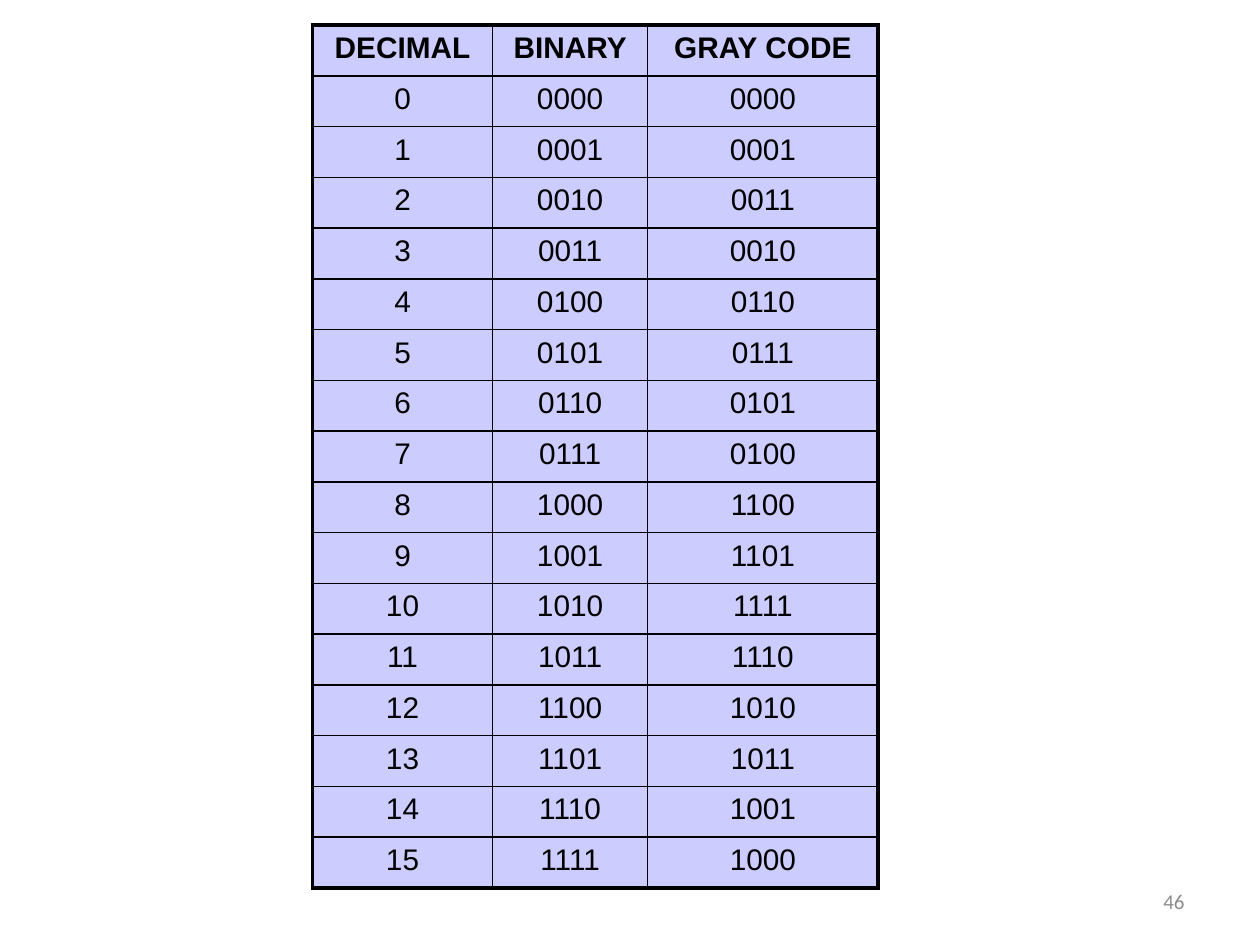
"""Build a slide with a table of decimal, binary and Gray code values."""
from lxml import etree
from pptx import Presentation
from pptx.dml.color import RGBColor
from pptx.enum.text import MSO_ANCHOR, PP_ALIGN
from pptx.oxml.ns import qn
from pptx.util import Inches, Pt

CENTER, RIGHT = PP_ALIGN.CENTER, PP_ALIGN.RIGHT
MIDDLE = MSO_ANCHOR.MIDDLE

HEADERS = ["DECIMAL", "BINARY", "GRAY CODE"]
CODES = [(str(n), f"{n:04b}", f"{n ^ (n >> 1):04b}") for n in range(16)]
ROWS = [HEADERS] + CODES
COL_WIDTHS = [1.43, 1.23, 1.83]
LEFT, TOP, HEIGHT = 2.48, 0.2, 6.85
PAGE_NUMBER = "46"
FILL, BLACK, GRAY = "CCCCFF", "000000", "8C8C8C"
OUTER, INNER = 2.25, 1


def rgb(color):
    return RGBColor.from_string(color)


def style_paragraph(p, align, font, size, color, bold=False):
    p.alignment = align
    for r in p.runs:
        r.font.name = font
        r.font.size = Pt(size)
        r.font.bold = bold
        r.font.color.rgb = rgb(color)


def set_space_before(p, percent):
    spacing = etree.SubElement(p._p.get_or_add_pPr(), qn("a:spcBef"))
    etree.SubElement(spacing, qn("a:spcPct"), val=str(percent * 1000))


def set_borders(cell, widths):
    tc_pr = cell._tc.get_or_add_tcPr()
    for side, width in widths.items():
        ln = etree.SubElement(tc_pr, qn(f"a:ln{side}"), w=str(Pt(width)))
        fill = etree.SubElement(ln, qn("a:solidFill"))
        etree.SubElement(fill, qn("a:srgbClr"), val=BLACK)


def add_code_table(s):
    last_row, last_col = len(ROWS) - 1, len(HEADERS) - 1
    table = s.shapes.add_table(
        len(ROWS), len(HEADERS), Inches(LEFT), Inches(TOP),
        Inches(sum(COL_WIDTHS)), Inches(HEIGHT)).table
    for column, width in zip(table.columns, COL_WIDTHS):
        column.width = Inches(width)
    for i, values in enumerate(ROWS):
        table.rows[i].height = Inches(HEIGHT / len(ROWS))
        for j, value in enumerate(values):
            cell = table.cell(i, j)
            cell.text_frame.text = value
            p = cell.text_frame.paragraphs[0]
            style_paragraph(p, CENTER, "Arial", 17, BLACK, bold=i == 0)
            set_space_before(p, 20)
            edges = {"L": j == 0, "R": j == last_col,
                     "T": i == 0, "B": i == last_row}
            set_borders(cell, {side: OUTER if edge else INNER
                               for side, edge in edges.items()})
            cell.fill.solid()
            cell.fill.fore_color.rgb = rgb(FILL)


def add_page_number(s):
    sp = s.shapes.add_textbox(Inches(7.17), Inches(6.95), Inches(2.33), Inches(0.4))
    tf = sp.text_frame
    tf.word_wrap = True
    tf.vertical_anchor = MIDDLE
    tf.text = PAGE_NUMBER
    style_paragraph(tf.paragraphs[0], RIGHT, "Calibri", 12, GRAY)


def main():
    prs = Presentation()
    prs.slide_width, prs.slide_height = Inches(10), Inches(7.5)
    s = prs.slides.add_slide(prs.slide_layouts[6])
    add_code_table(s)
    add_page_number(s)
    prs.save("out.pptx")


if __name__ == "__main__":
    main()
